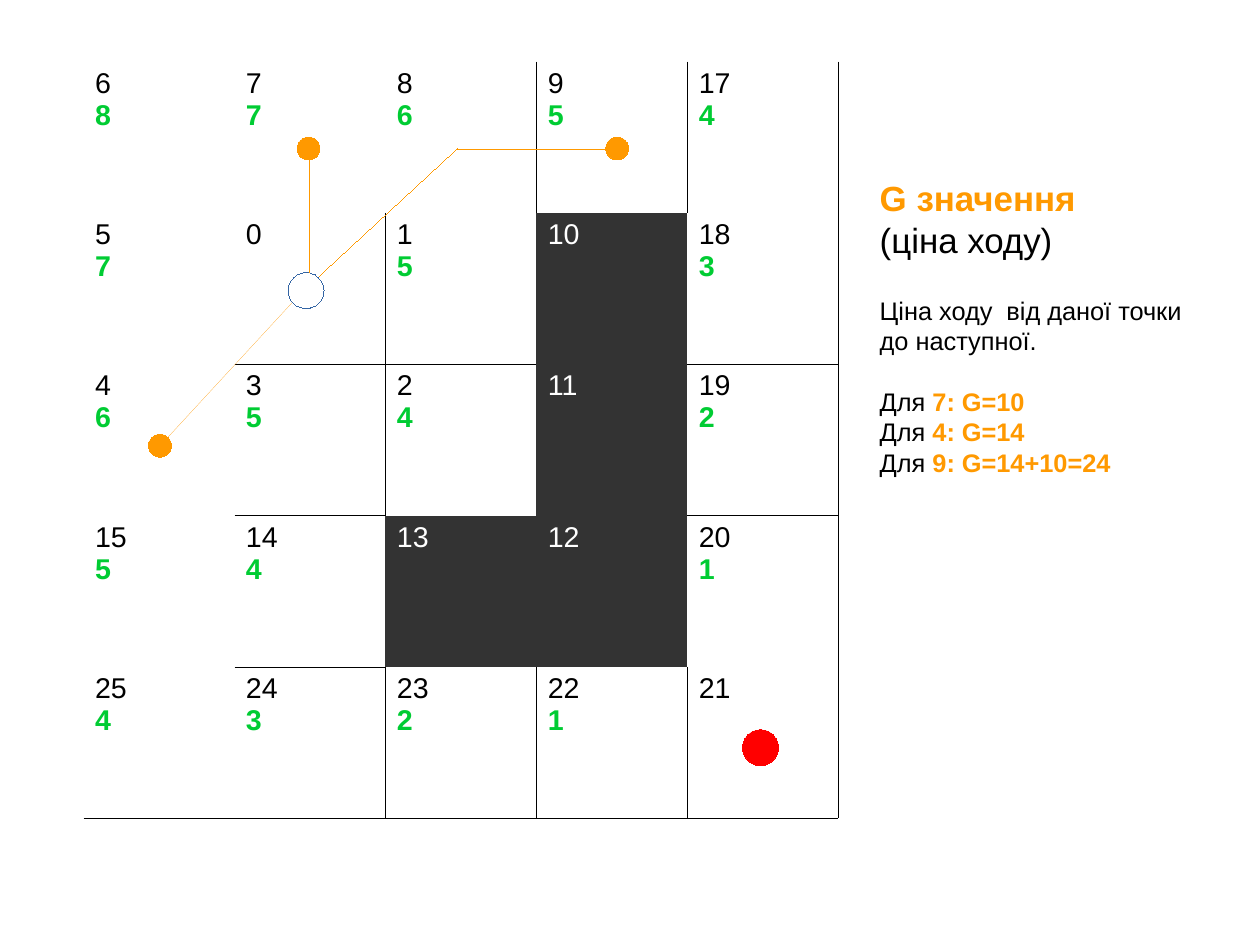
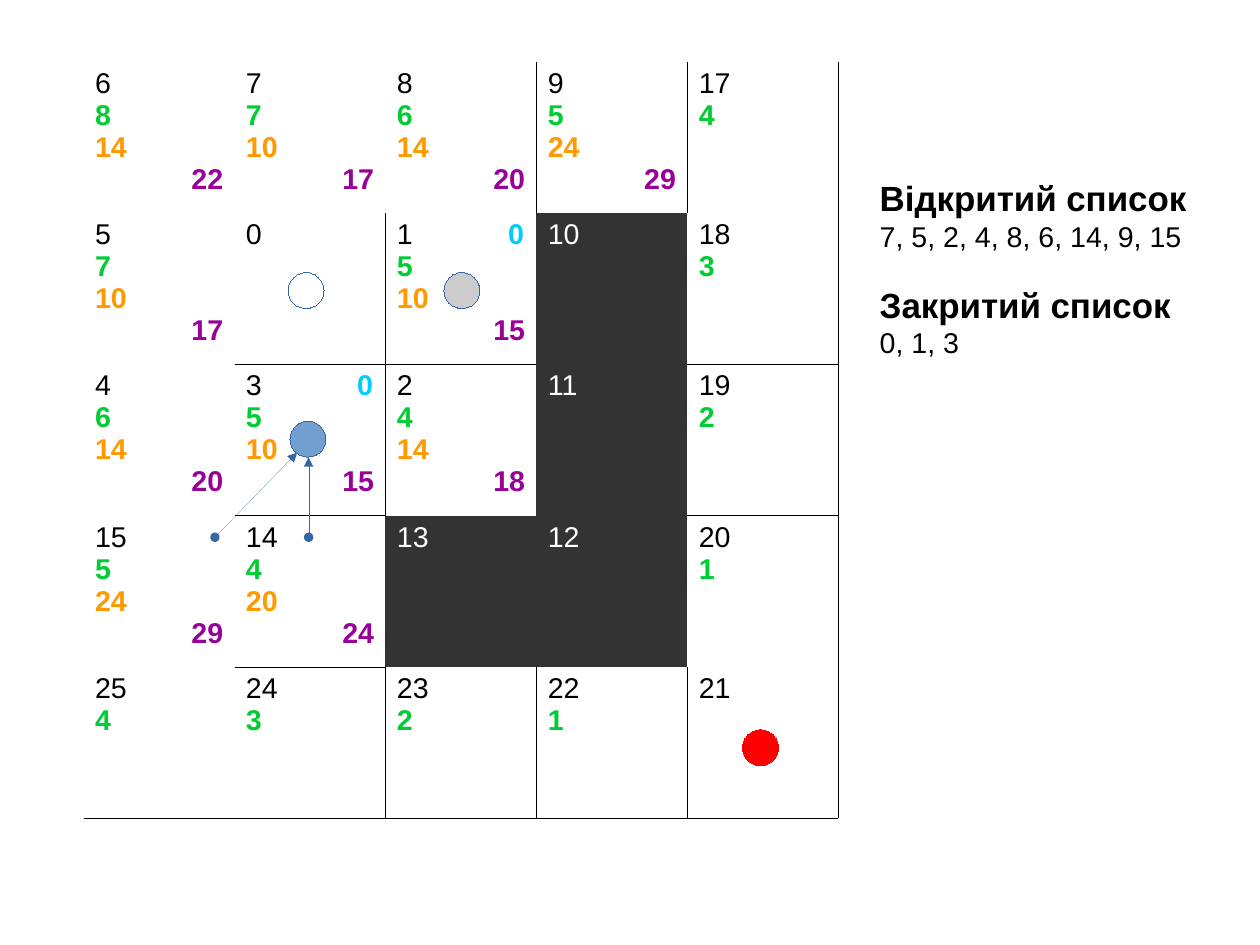
from lxml.etree import SubElement as Sub
from pptx import Presentation
from pptx.dml.color import RGBColor as RGB
from pptx.enum.shapes import MSO_CONNECTOR as Link, MSO_SHAPE as Form
from pptx.enum.text import MSO_ANCHOR as Anchor, MSO_AUTO_SIZE as Auto, PP_ALIGN as Align
from pptx.oxml.ns import qn
from pptx.util import Pt

HUES = {
    "ink": "000000", "white": "FFFFFF", "wall": "333333", "green": "00CC33",
    "gold": "FF9900", "plum": "990099", "cyan": "00CCFF", "red": "FF0000",
    "gray": "CCCCCC", "sky": "729FCF", "blue": "3465A4",
}
GRID = [
    [6, 7, 8, 9, 17],
    [5, 0, 1, 10, 18],
    [4, 3, 2, 11, 19],
    [15, 14, 13, 12, 20],
    [25, 24, 23, 22, 21],
]
WALLS = {10, 11, 12, 13}
AHEAD = {6: 8, 7: 7, 8: 6, 9: 5, 17: 4, 5: 7, 1: 5, 18: 3, 4: 6, 3: 5, 2: 4,
         19: 2, 15: 5, 14: 4, 20: 1, 25: 4, 24: 3, 23: 2, 22: 1}
COST = {6: 14, 7: 10, 8: 14, 9: 24, 5: 10, 1: 10, 4: 14, 3: 10, 2: 14, 15: 24, 14: 20}
DONE = {1, 3}
RIGHT = ["00111", "01001", "01001", "00001", "01111"]
BELOW = ["00000", "01101", "01001", "01000", "11111"]


def tint(name):
    return RGB.from_string(HUES[name])


def put(para, text, size=18, hue="ink", bold=False):
    run = para.add_run()
    run.text = text
    font = run.font
    font.name, font.size, font.bold = "Arial", Pt(size), bold
    font.color.rgb = tint(hue)


def row(frame, first=False):
    return frame.paragraphs[0] if first else frame.add_paragraph()


def ruled(marks, r, c):
    return r >= 0 and c >= 0 and marks[r][c] == "1"


def thin(shape, hue):
    shape.line.color.rgb = tint(hue)
    props = shape._element.spPr.find(qn("a:ln"))
    props.set("w", "0")
    return props


class Deck:
    left, top, wide, high = 52.7, 38.9, 95.1, 95.3
    side, span = 547, 216.7

    def __init__(self):
        self.show = Presentation()
        self.show.slide_width, self.show.slide_height = Pt(793.75), Pt(595.25)

    def page(self):
        self.slide = self.show.slides.add_slide(self.show.slide_layouts[1])

    def note(self, spot, top, high, rows):
        box = self.slide.placeholders[spot]
        box.left, box.top, box.width, box.height = map(Pt, (self.side, top, self.span, high))
        frame = box.text_frame
        frame.word_wrap, frame.auto_size = True, Auto.NONE
        frame.vertical_anchor = Anchor.TOP
        for i, (gap, runs) in enumerate(rows):
            para = row(frame, i == 0)
            props = para._p.get_or_add_pPr()
            props.set("marL", "0")
            props.set("indent", "0")
            Sub(props, qn("a:buNone"))
            para.alignment, para.space_before = Align.LEFT, Pt(gap)
            for text, form in runs:
                put(para, text, **form)

    def edge(self, cell, r, c):
        sides = {"L": (RIGHT, r, c - 1), "R": (RIGHT, r, c),
                 "T": (BELOW, r - 1, c), "B": (BELOW, r, c)}
        props = cell._tc.get_or_add_tcPr()
        for side, spot in sides.items():
            line = Sub(props, qn("a:ln" + side), w=str(Pt(0.06)))
            if ruled(*spot):
                fill = Sub(line, qn("a:solidFill"))
                Sub(fill, qn("a:srgbClr"), val=HUES["ink"])
            else:
                Sub(line, qn("a:noFill"))

    def fill(self, cell, num, cost, done):
        wall = num in WALLS
        cell.fill.solid()
        cell.fill.fore_color.rgb = tint("wall" if wall else "white")
        frame = cell.text_frame
        para = row(frame, True)
        if num in done:
            tabs = Sub(para._p.get_or_add_pPr(), qn("a:tabLst"))
            Sub(tabs, qn("a:tab"), pos=str(Pt(70)), algn="l")
        put(para, str(num), hue="white" if wall else "ink")
        if num in done:
            put(para, "\t0", hue="cyan", bold=True)
        if num in AHEAD:
            put(row(frame), str(AHEAD[num]), hue="green", bold=True)
        if num in cost:
            put(row(frame), str(cost[num]), hue="gold", bold=True)
            para = row(frame)
            para.alignment = Align.RIGHT
            put(para, str(cost[num] + AHEAD[num]), hue="plum", bold=True)

    def board(self, cost=(), done=()):
        size = len(GRID)
        table = self.slide.shapes.add_table(
            size, size, Pt(self.left), Pt(self.top),
            Pt(self.wide * size), Pt(self.high * size)).table
        table.first_row = table.horz_banding = False
        for r, nums in enumerate(GRID):
            table.rows[r].height = Pt(self.high)
            table.columns[r].width = Pt(self.wide)
            for c, num in enumerate(nums):
                cell = table.cell(r, c)
                self.edge(cell, r, c)
                self.fill(cell, num, cost, done)

    def line(self, start, end, hue, head=None, tail=None):
        link = self.slide.shapes.add_connector(Link.STRAIGHT, *map(Pt, start + end))
        props = thin(link, hue)
        for name, kind in (("a:headEnd", head), ("a:tailEnd", tail)):
            if kind:
                Sub(props, qn(name), type=kind)
        Sub(link._element.spPr, qn("a:effectLst"))

    def disc(self, x, y, hue, rim, size=22.7):
        dot = self.slide.shapes.add_shape(
            Form.OVAL, Pt(x - size / 2), Pt(y - size / 2), Pt(size), Pt(size))
        dot.fill.solid()
        dot.fill.fore_color.rgb = tint(hue)
        thin(dot, rim)
        dot.shadow.inherit = False

    def ends(self):
        self.disc(192.8, 183, "white", "blue")
        self.disc(479.1, 471, "red", "red")


def main():
    deck = Deck()
    head = {"size": 22, "bold": True}
    text = {"size": 16}
    mark = {"size": 16, "hue": "gold", "bold": True}

    deck.page()
    deck.note(0, 107.7, 62, [
        (0, [("G значення", {**head, "hue": "gold"})]),
        (0, [("(ціна ходу)", {"size": 22})]),
    ])
    costs = ["7: G=10", "4: G=14", "9: G=14+10=24"]
    deck.note(1, 182, 144, [(0, [("Ціна ходу  від даної точки до наступної.", text)])] + [
        (0 if i else 19.2, [("Для ", text), (cost, mark)]) for i, cost in enumerate(costs)
    ])
    deck.board()
    north, east, south, bend = (194.4, 93.6), (388.8, 93.6), (100.8, 280.8), (288, 93.6)
    deck.line((187.2, 187.2), south, "gold", tail="triangle")
    deck.line((194.4, 180), bend, "gold")
    deck.ends()
    deck.line((194.4, 172), north, "gold", tail="triangle")
    deck.line(bend, east, "gold", tail="triangle")
    for x, y in (north, east, south):
        deck.disc(x, y, "gold", "gold", size=14.4)

    deck.page()
    deck.note(0, 107.7, 34, [(0, [("Відкритий список", head)])])
    deck.note(1, 134, 96, [
        (0, [("7, 5, 2, 4, 8, 6, 14, 9, 15", {})]),
        (19.2, [("Закритий список", head)]),
        (0, [("0, 1, 3", {})]),
    ])
    deck.board(COST, DONE)
    deck.ends()
    deck.disc(291, 183, "gray", "blue")
    deck.disc(194, 276.6, "sky", "blue")
    for start, end in (((187.2, 285.1), (135.4, 338.4)), ((194.4, 288), (194.4, 338.4))):
        deck.line(start, end, "blue", head="triangle", tail="oval")

    deck.show.save("out.pptx")


if __name__ == "__main__":
    main()
